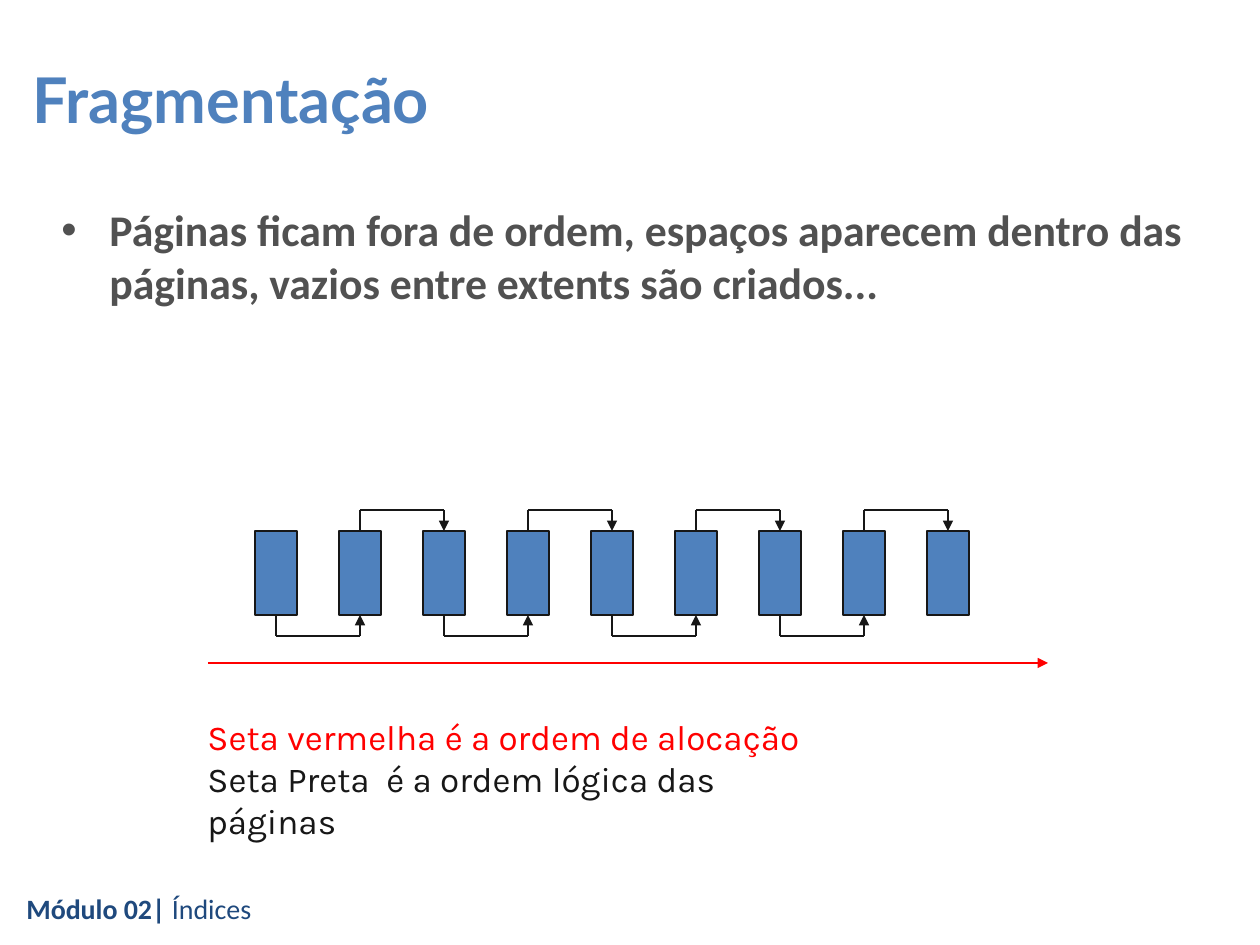
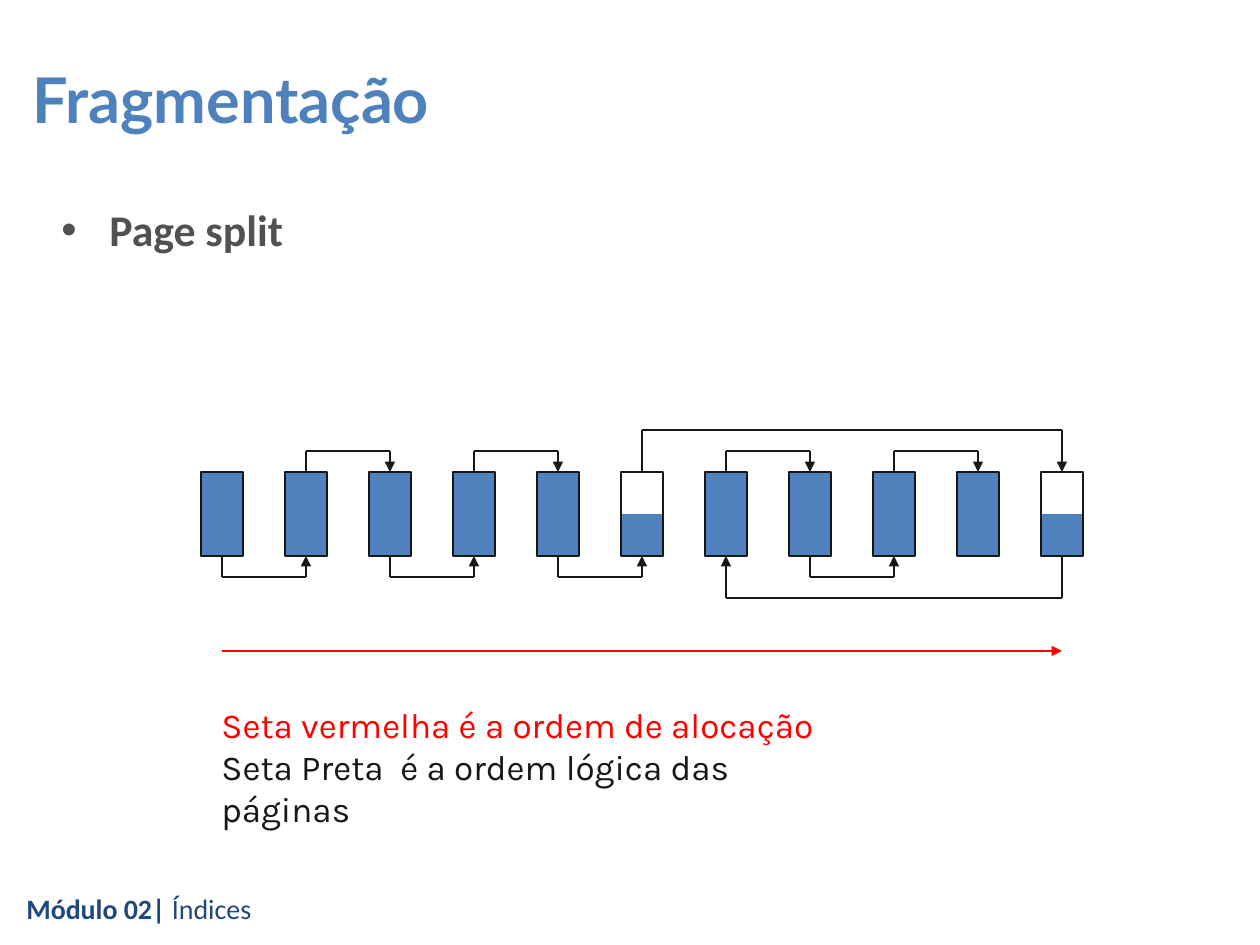
import itertools

import lxml.etree
import pptx
import pptx.dml.color
import pptx.enum.shapes
import pptx.enum.text
import pptx.oxml.ns
import pptx.util

PX = 914400 / 126
BLUE, NAVY, GREY, INK, RED, WHITE = "4F81BD", "1F497D", "515151", "171717", "FF0000", "FFFFFF"
PAGE_WIDTH, PAGE_HEIGHT, PITCH, LINK_DEPTH = 42, 84, 84, 21
qn = pptx.oxml.ns.qn
color = pptx.dml.color.RGBColor.from_string


def add_text(slide, box, paragraphs, font_name, size, bold=False):
    shape = slide.shapes.add_textbox(*[round(value * PX) for value in box])
    frame = shape.text_frame
    frame.word_wrap = True
    for index, (text, ink) in enumerate(paragraphs):
        paragraph = frame.paragraphs[0] if index == 0 else frame.add_paragraph()
        paragraph.text = text
        paragraph.font.name = font_name
        paragraph.font.size = pptx.util.Pt(size)
        paragraph.font.bold = bold
        paragraph.font.color.rgb = color(ink)
    return frame


def add_line(slide, start, end, ink, width, arrow):
    connector = slide.shapes.add_connector(
        pptx.enum.shapes.MSO_CONNECTOR.STRAIGHT,
        *[round(value * PX) for value in (*start, *end)])
    connector.line.color.rgb = color(ink)
    connector.line.width = pptx.util.Pt(width)
    properties = connector._element.spPr
    if arrow:
        lxml.etree.SubElement(properties.find(qn("a:ln")), qn("a:tailEnd"), type="triangle")
    lxml.etree.SubElement(properties, qn("a:effectLst"))


diagrams = [
    {"bullet": "Páginas ficam fora de ordem, espaços aparecem dentro das páginas, "
               "vazios entre extents são criados...",
     "first_center": 276, "top": 531, "logical_order": list(range(9)),
     "split_pages": [], "arrow": (208, 663)},
    {"bullet": "Page split",
     "first_center": 222, "top": 472, "logical_order": [0, 1, 2, 3, 4, 5, 10, 6, 7, 8, 9],
     "split_pages": [5, 10], "arrow": (222, 651)},
]

presentation = pptx.Presentation()
presentation.slide_width = round(1260 * PX)
presentation.slide_height = round(945 * PX)

for diagram in diagrams:
    slide = presentation.slides.add_slide(presentation.slide_layouts[6])

    footer = add_text(slide, (14, 885, 1079, 50), [("Módulo 02|", NAVY)], "Calibri", 16)
    footer.paragraphs[0].runs[0].font.bold = True
    footer.paragraphs[0].add_run().text = " Índices"

    title = add_text(slide, (20, 49, 1240, 98), [("Fragmentação", BLUE)], "Lato", 36, True)
    title.vertical_anchor = pptx.enum.text.MSO_ANCHOR.MIDDLE

    body = add_text(slide, (49, 197, 1152, 610), [("", GREY)], "Calibri", 25, True)
    paragraph = body.paragraphs[0]
    paragraph.add_run().text = diagram["bullet"]
    properties = paragraph._p.get_or_add_pPr()
    properties.set("marL", str(round(48 * PX)))
    properties.set("indent", str(round(-48 * PX)))
    bullet_font = lxml.etree.Element(qn("a:buFont"), typeface="Arial")
    bullet_mark = lxml.etree.Element(qn("a:buChar"), char="•")
    properties.insert(0, bullet_font)
    properties.insert(1, bullet_mark)

    top = diagram["top"]
    bottom = top + PAGE_HEIGHT
    centers = [diagram["first_center"] + PITCH * page
               for page in range(len(diagram["logical_order"]))]

    for page, center in enumerate(centers):
        layers = [(top, PAGE_HEIGHT, BLUE, True)]
        if page in diagram["split_pages"]:
            half = PAGE_HEIGHT // 2
            layers = [(top, PAGE_HEIGHT, WHITE, False),
                      (top + half, half, BLUE, False),
                      (top, PAGE_HEIGHT, None, True)]
        for layer_top, height, fill, outlined in layers:
            shape = slide.shapes.add_shape(
                pptx.enum.shapes.MSO_SHAPE.RECTANGLE,
                *[round(value * PX) for value in
                  (center - PAGE_WIDTH / 2, layer_top, PAGE_WIDTH, height)])
            shape.shadow.inherit = False
            if fill:
                shape.fill.solid()
                shape.fill.fore_color.rgb = color(fill)
            else:
                shape.fill.background()
            if outlined:
                shape.line.color.rgb = color(INK)
                shape.line.width = pptx.util.Pt(1.5)
            else:
                shape.line.fill.background()

    for step, (source, target) in enumerate(itertools.pairwise(diagram["logical_order"])):
        depth = LINK_DEPTH if abs(target - source) == 1 else 2 * LINK_DEPTH
        edge, level = (bottom, bottom + depth) if step % 2 == 0 else (top, top - depth)
        corners = [(centers[source], edge), (centers[source], level),
                   (centers[target], level), (centers[target], edge)]
        for segment, (start, end) in enumerate(itertools.pairwise(corners)):
            add_line(slide, start, end, INK, 1.5, segment == 2)

    left, level = diagram["arrow"]
    add_line(slide, (left, level), (left + 840, level), RED, 0.75, True)
    add_text(slide, (left - 13, level + 46, 660, 92),
             [("Seta vermelha é a ordem de alocação", RED),
              ("Seta Preta  é a ordem lógica das páginas", INK)], "Karla", 20)

presentation.save("out.pptx")
